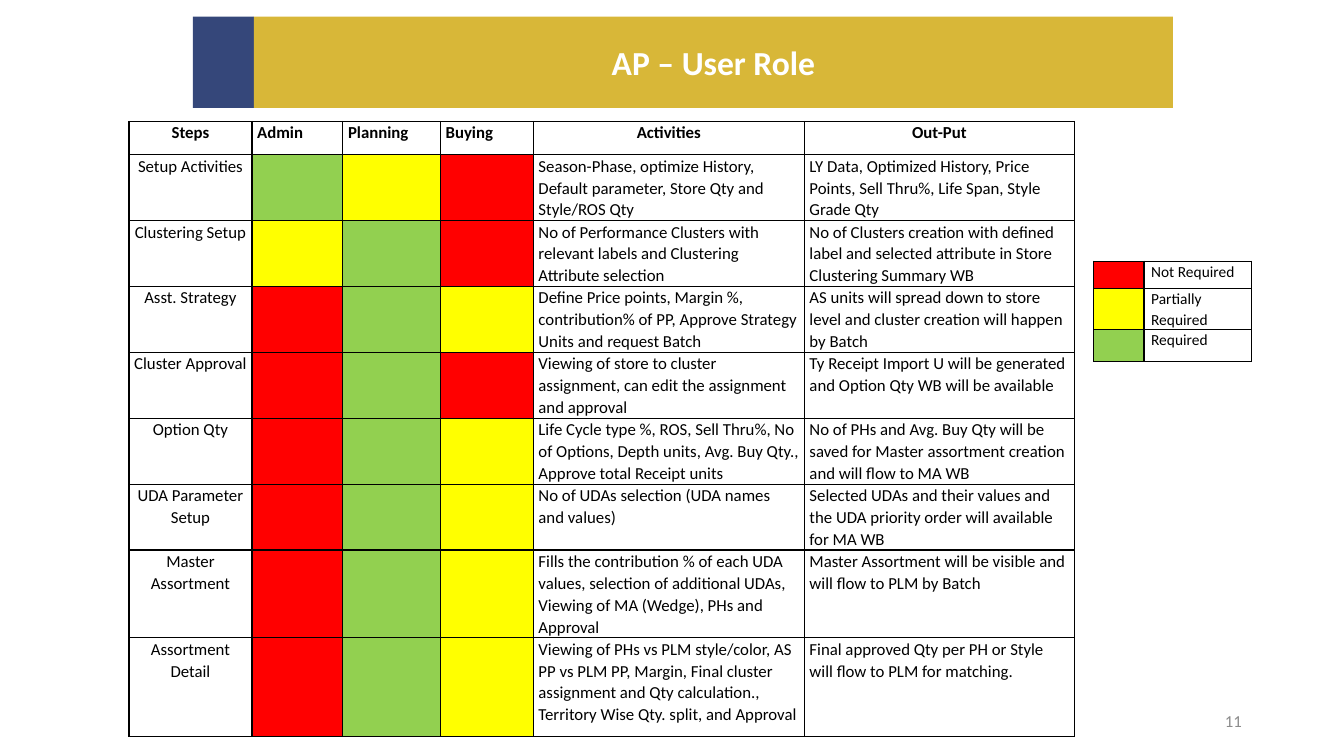
from lxml.etree import SubElement
from pptx import Presentation
from pptx.dml.color import RGBColor
from pptx.enum.shapes import MSO_SHAPE
from pptx.enum.text import MSO_ANCHOR, PP_ALIGN
from pptx.oxml.ns import qn
from pptx.util import Cm, Pt

FONT = "Calibri"
BLACK, WHITE, GREY = "000000", "FFFFFF", "8C8C8C"
NAVY, GOLD = "35477A", "D8B738"
STATUS_COLORS = {"G": "92D050", "Y": "FFFF00", "R": "FF0000"}

ROLE_COLUMNS = [3.1, 2.29, 2.46, 2.34, 6.83, 6.81]
ROLE_ROWS = [0.84] + [1.66] * 6 + [2.21, 2.49]
HEADINGS = ["Steps", "Admin", "Planning", "Buying", "Activities", "Out-Put"]
# Step, status for Admin / Planning / Buying, activities, output
STEPS = [
    ("Setup Activities", "GYR",
     "Season-Phase, optimize History, Default parameter, Store Qty and Style/ROS Qty",
     "LY Data, Optimized History, Price Points, Sell Thru%, Life Span, Style Grade Qty"),
    ("Clustering Setup", "YGR",
     "No of Performance Clusters with relevant labels and Clustering Attribute selection",
     "No of Clusters creation with defined label and selected attribute in Store "
     "Clustering Summary WB"),
    ("Asst. Strategy", "RGY",
     "Define Price points, Margin %, contribution% of PP, Approve Strategy Units and "
     "request Batch",
     "AS units will spread down to store level and cluster creation will happen by Batch"),
    ("Cluster Approval", "RGR",
     "Viewing of store to cluster assignment, can edit the assignment and approval",
     "Ty Receipt Import U will be generated and Option Qty WB will be available"),
    ("Option Qty", "RGY",
     "Life Cycle type %, ROS, Sell Thru%, No of Options, Depth units, Avg. Buy Qty., "
     "Approve total Receipt units",
     "No of PHs and Avg. Buy Qty will be saved for Master assortment creation and will "
     "flow to MA WB"),
    ("UDA Parameter Setup", "RGY",
     "No of UDAs selection (UDA names and values)",
     "Selected UDAs and their values and the UDA priority order will available for MA WB"),
    ("Master Assortment", "RGY",
     "Fills the contribution % of each UDA values, selection of additional UDAs, "
     "Viewing of MA (Wedge), PHs and Approval",
     "Master Assortment will be visible and will flow to PLM by Batch"),
    ("Assortment Detail", "RGY",
     "Viewing of PHs vs PLM style/color, AS PP vs PLM PP, Margin, Final cluster "
     "assignment and Qty calculation., Territory Wise Qty. split, and Approval",
     "Final approved Qty per PH or Style will flow to PLM for matching."),
]
LEGEND = [("R", "Not Required"), ("Y", "Partially Required"), ("G", "Required")]


def color(hex_string):
    return RGBColor.from_string(hex_string)


def write_text(frame, text, size=12, fill=BLACK, bold=False, align=PP_ALIGN.LEFT,
               line_spacing=1.0):
    paragraph = frame.paragraphs[0]
    paragraph.alignment = align
    paragraph.line_spacing = line_spacing
    run = paragraph.add_run()
    run.text = text
    run.font.name = FONT
    run.font.size = Pt(size)
    run.font.bold = bold
    run.font.color.rgb = color(fill)


def add_bar(shapes, left, top, width, height, fill):
    bar = shapes.add_shape(MSO_SHAPE.RECTANGLE, Cm(left), Cm(top), Cm(width), Cm(height))
    bar.shadow.inherit = False
    bar.fill.solid()
    bar.fill.fore_color.rgb = color(fill)
    bar.line.fill.background()
    return bar


def add_title(slide, title):
    banner = slide.shapes.add_group_shape()
    add_bar(banner.shapes, 4.86, 0.42, 1.54, 2.3, NAVY)
    title_bar = add_bar(banner.shapes, 6.4, 0.42, 23.16, 2.3, GOLD)
    title_bar.text_frame.vertical_anchor = MSO_ANCHOR.MIDDLE
    write_text(title_bar.text_frame, title, size=24, fill=WHITE, bold=True,
               align=PP_ALIGN.CENTER)


def add_page_number(slide, number):
    frame = slide.shapes.add_textbox(Cm(23.93), Cm(17.65), Cm(7.62), Cm(1.02)).text_frame
    frame.word_wrap = True
    frame.vertical_anchor = MSO_ANCHOR.MIDDLE
    write_text(frame, number, fill=GREY, align=PP_ALIGN.RIGHT)


def add_borders(cell):
    """Draw a black one-point line on all four sides; must precede the cell fill."""
    properties = cell._tc.get_or_add_tcPr()
    for side in ("a:lnL", "a:lnR", "a:lnT", "a:lnB"):
        line = SubElement(properties, qn(side), w=str(Pt(1)))
        solid = SubElement(line, qn("a:solidFill"))
        SubElement(solid, qn("a:srgbClr"), val=BLACK)


def add_grid(slide, left, top, columns, rows, margin):
    """Add an unfilled, bordered table with the given side margin in its cells."""
    table = slide.shapes.add_table(len(rows), len(columns), Cm(left), Cm(top),
                                   Cm(sum(columns)), Cm(sum(rows))).table
    table.first_row = table.horz_banding = False
    for column, width in zip(table.columns, columns):
        column.width = Cm(width)
    for row, height in zip(table.rows, rows):
        row.height = Cm(height)
    for cell in table.iter_cells():
        cell.margin_left = cell.margin_right = Cm(margin)
        cell.margin_top = cell.margin_bottom = 0
        add_borders(cell)
        cell.fill.background()
    return table


def fill_status(cell, status):
    """Colour an empty cell and keep its blank line small."""
    cell.fill.solid()
    cell.fill.fore_color.rgb = color(STATUS_COLORS[status])
    SubElement(cell.text_frame.paragraphs[0]._p, qn("a:endParaRPr"), sz="1000")


def add_role_table(slide):
    table = add_grid(slide, 3.25, 3.06, ROLE_COLUMNS, ROLE_ROWS, margin=0.13)
    for index, heading in enumerate(HEADINGS):
        align = PP_ALIGN.LEFT if 1 <= index <= 3 else PP_ALIGN.CENTER
        write_text(table.cell(0, index).text_frame, heading, bold=True, align=align,
                   line_spacing=1.07)
    for row, (step, statuses, activities, output) in enumerate(STEPS, start=1):
        write_text(table.cell(row, 0).text_frame, step, align=PP_ALIGN.CENTER,
                   line_spacing=1.07)
        for column, status in enumerate(statuses, start=1):
            fill_status(table.cell(row, column), status)
        for column, text in enumerate((activities, output), start=4):
            write_text(table.cell(row, column).text_frame, text, line_spacing=1.07)


def add_legend(slide):
    table = add_grid(slide, 27.56, 6.58, [1.27, 2.7], [0.7, 1.02, 0.82], margin=0.18)
    for row, (status, label) in enumerate(LEGEND):
        fill_status(table.cell(row, 0), status)
        write_text(table.cell(row, 1).text_frame, label, size=11, line_spacing=1.07)


def main():
    presentation = Presentation()
    presentation.slide_width = Cm(33.87)
    presentation.slide_height = Cm(19.05)
    slide = presentation.slides.add_slide(presentation.slide_layouts[6])
    add_title(slide, "AP – User Role")
    add_page_number(slide, "11")
    add_role_table(slide)
    add_legend(slide)
    presentation.save("out.pptx")


if __name__ == "__main__":
    main()
